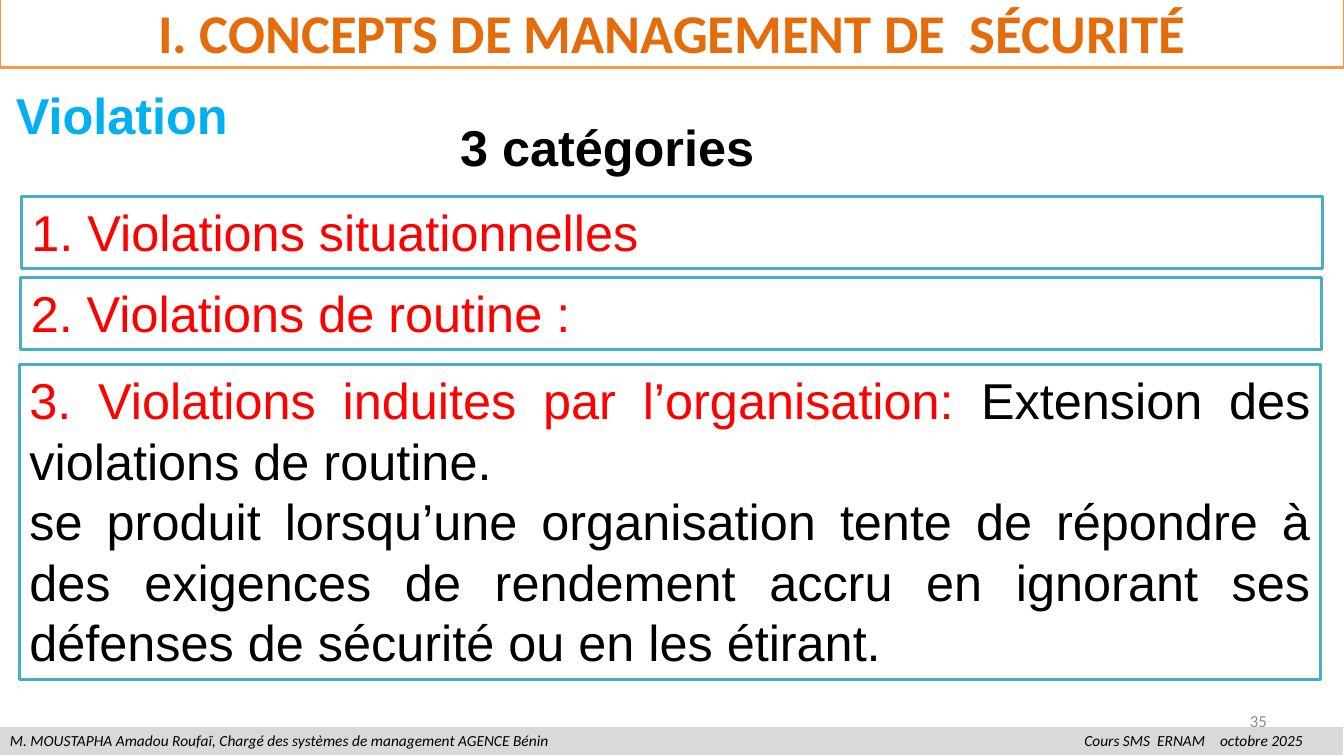
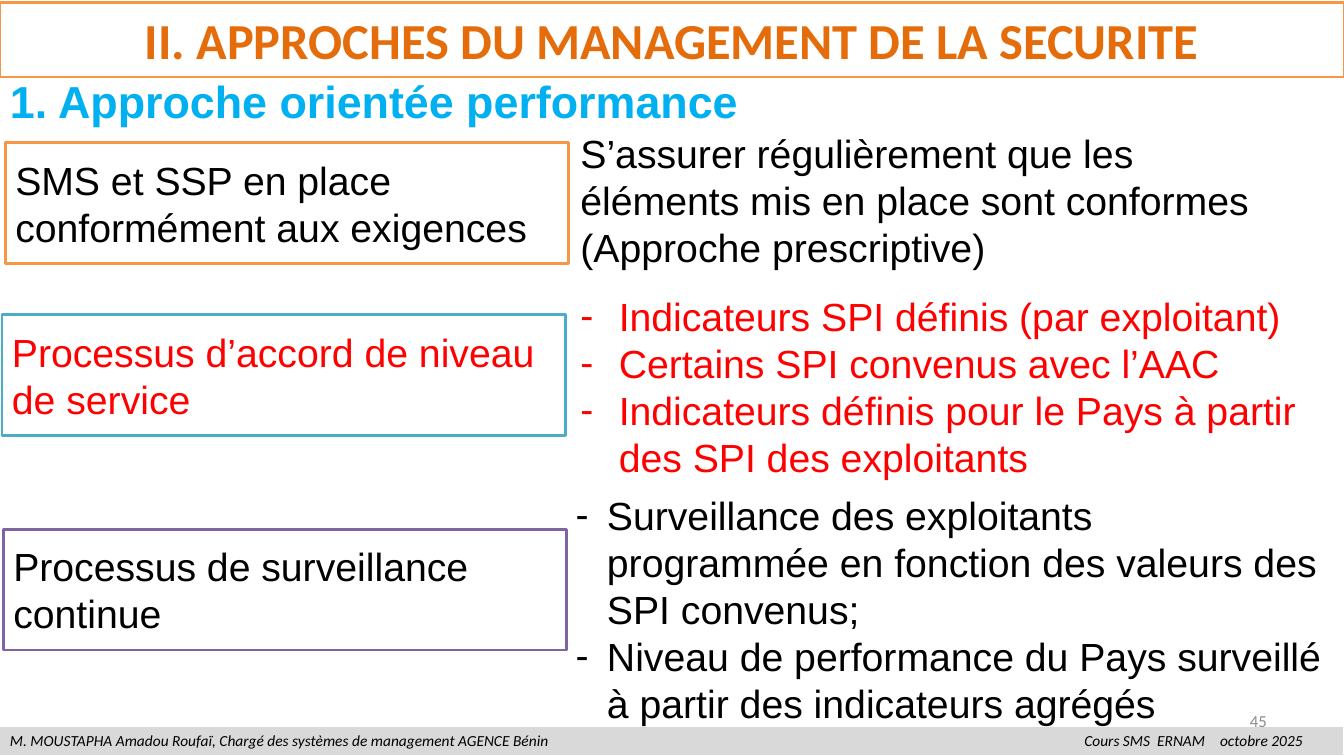
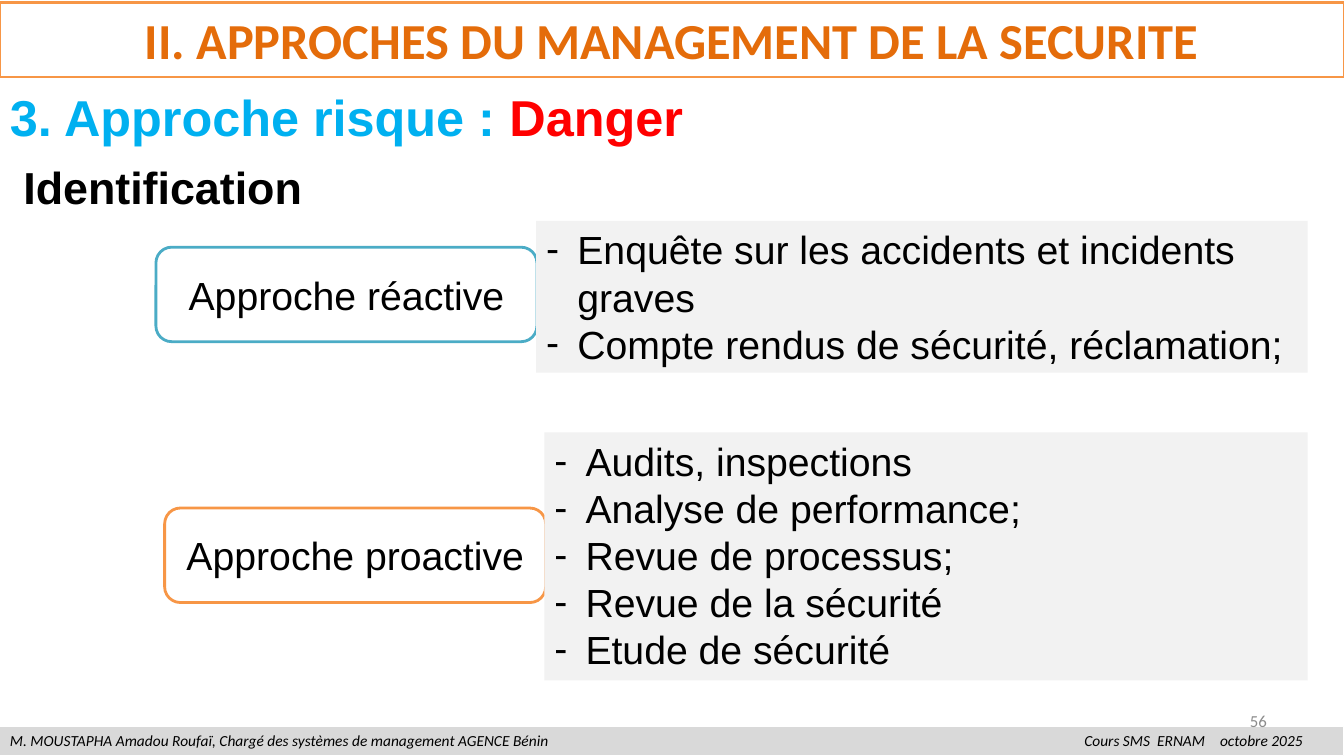
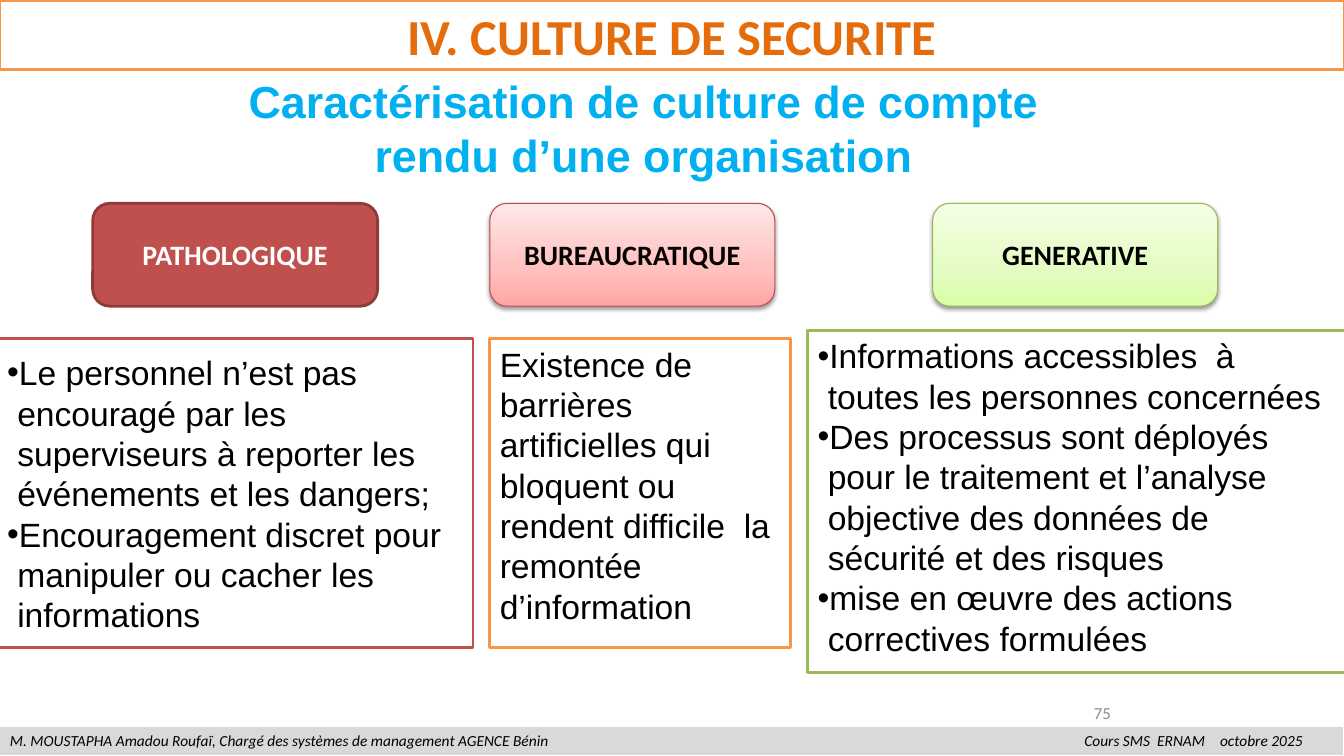
from dataclasses import dataclass, field
from typing import Any, Optional

from lxml import etree
from pptx import Presentation
from pptx import util as u
from pptx.dml.color import RGBColor
from pptx.enum import shapes, text
from pptx.oxml.ns import qn

WIDTH, HEIGHT = u.Inches(13.33), u.Inches(7.5)
TITLE_ONLY = 5

BLACK, WHITE, RED = "000000", "FFFFFF", "FF0000"
CYAN, TEAL, ORANGE, PURPLE = "00B0F0", "4BACC6", "F79646", "8064A2"
BRICK, OLIVE, TITLE_ORANGE = "C0504D", "9BBB59", "E46C0A"
BAND_GREY, PANEL_GREY, NUMBER_GREY = "D9D9D9", "F2F2F2", "8C8C8C"

RECT = shapes.MSO_SHAPE.RECTANGLE
ROUND = shapes.MSO_SHAPE.ROUNDED_RECTANGLE
PROCESS = shapes.MSO_SHAPE.FLOWCHART_PROCESS
LEFT, CENTER = text.PP_ALIGN.LEFT, text.PP_ALIGN.CENTER
RIGHT, JUSTIFY = text.PP_ALIGN.RIGHT, text.PP_ALIGN.JUSTIFY
TOP, MIDDLE = text.MSO_ANCHOR.TOP, text.MSO_ANCHOR.MIDDLE


@dataclass(frozen=True)
class Box:
    """A rectangle in percent of the slide's width and height."""
    x: float
    y: float
    w: float
    h: float

    def emu(self) -> tuple[int, int, int, int]:
        return (int(WIDTH * self.x / 100), int(HEIGHT * self.y / 100),
                int(WIDTH * self.w / 100), int(HEIGHT * self.h / 100))


@dataclass(frozen=True)
class Panel:
    """A block of text, in a preset shape or, with kind None, in a text box."""
    box: Box
    words: str
    kind: Optional[Any] = None
    fill: Optional[str] = WHITE
    line: Optional[str] = None
    line_width: float = 2
    gradient: tuple[tuple[int, str], ...] = ()
    shadow: bool = False
    style: dict[str, Any] = field(default_factory=dict)


@dataclass(frozen=True)
class Page:
    title: str
    title_box: Box
    number: int
    panels: list[Panel]
    title_size: float = 36
    number_box: Box = Box(71.7, 92.7, 23.3, 5.3)


def rgb(color: str) -> RGBColor:
    return RGBColor.from_string(color)


def set_bullet(p: Any, char: str, indent: float) -> None:
    pPr = p._p.get_or_add_pPr()
    pPr.set("marL", str(u.Inches(indent)))
    pPr.set("indent", str(-u.Inches(indent)))
    etree.SubElement(pPr, qn("a:buFont"), typeface="Arial")
    etree.SubElement(pPr, qn("a:buChar"), char=char)


def set_right_tabs(p: Any, *stops: float) -> None:
    tabs = etree.SubElement(p._p.get_or_add_pPr(), qn("a:tabLst"))
    for stop in stops:
        etree.SubElement(tabs, qn("a:tab"), pos=str(int(WIDTH * stop / 100)), algn="r")


def write(tf: Any, words: str, *, size: float = 28, font: str = "Arial",
          color: str = BLACK, bold: bool = False, italic: bool = False,
          align: Any = LEFT, anchor: Any = TOP, bullet: str = "",
          indent: float = 0.31, lead: str = "", lead_color: str = RED,
          tabs: tuple[float, ...] = ()) -> None:
    """Write one paragraph per line; text equal to lead opens in lead_color."""
    tf.word_wrap = True
    tf.auto_size = text.MSO_AUTO_SIZE.NONE
    tf.vertical_anchor = anchor
    for i, line in enumerate(words.split("\n")):
        p = tf.add_paragraph() if i else tf.paragraphs[0]
        p.alignment = align
        if bullet:
            set_bullet(p, bullet, indent)
        if tabs:
            set_right_tabs(p, *tabs)
        runs = [(line, color)]
        if lead and line.startswith(lead):
            runs = [(lead, lead_color), (line[len(lead):], color)]
        for part, part_color in runs:
            r = p.add_run()
            r.text = part
            r.font.size = u.Pt(size)
            r.font.name = font
            r.font.bold = bold
            r.font.italic = italic
            r.font.color.rgb = rgb(part_color)


def paint(sp: Any, fill: Optional[str], line: Optional[str], width: float = 2) -> None:
    sp.shadow.inherit = False
    if fill:
        sp.fill.solid()
        sp.fill.fore_color.rgb = rgb(fill)
    if line:
        sp.line.color.rgb = rgb(line)
        sp.line.width = u.Pt(width)
    else:
        sp.line.fill.background()


def paint_gradient(sp: Any, stops: tuple[tuple[int, str], ...]) -> None:
    """Fill from bottom to top with (percent, colour) stops."""
    sp.fill.gradient()
    sp.fill.gradient_angle = 90
    stop_list = sp._element.spPr.find(".//" + qn("a:gsLst"))
    for old in list(stop_list):
        stop_list.remove(old)
    for percent, color in stops:
        stop = etree.SubElement(stop_list, qn("a:gs"), pos=str(percent * 1000))
        etree.SubElement(stop, qn("a:srgbClr"), val=color)


def drop_shadow(sp: Any) -> None:
    effects = sp._element.spPr.find(qn("a:effectLst"))
    outer = etree.SubElement(effects, qn("a:outerShdw"), blurRad=str(u.Pt(3.1)),
                             dist=str(u.Pt(1.6)), dir="5400000", rotWithShape="0")
    color = etree.SubElement(outer, qn("a:srgbClr"), val=BLACK)
    etree.SubElement(color, qn("a:alpha"), val="38000")


def draw(slide: Any, panel: Panel) -> Any:
    if panel.kind is None:
        sp = slide.shapes.add_textbox(*panel.box.emu())
    else:
        sp = slide.shapes.add_shape(panel.kind, *panel.box.emu())
        paint(sp, panel.fill, panel.line, panel.line_width)
        if panel.gradient:
            paint_gradient(sp, panel.gradient)
        if panel.shadow:
            drop_shadow(sp)
    write(sp.text_frame, panel.words, **panel.style)
    return sp


def label(box: Box, words: str, **style: Any) -> Panel:
    return Panel(box, words, style=style)


def heading(box: Box, words: str, **style: Any) -> Panel:
    return label(box, words, **{"size": 36, "color": CYAN, "bold": True, **style})


def framed(box: Box, words: str, line: str, kind: Any = RECT, **style: Any) -> Panel:
    return Panel(box, words, kind, line=line, style=style)


def grey_list(box: Box, words: str) -> Panel:
    return Panel(box, words, RECT, PANEL_GREY, style={"bullet": "-"})


def culture_card(x: float, words: str, color: str = BLACK, **look: Any) -> Panel:
    style = dict(size=20, font="Calibri", bold=True, color=color,
                 align=CENTER, anchor=MIDDLE)
    return Panel(Box(x, 26.9, 21.2, 13.6), words, ROUND, style=style, **look)


def add_footer(slide: Any) -> None:
    """Draw the footer band and move it to the slide's layout."""
    band = Panel(
        Box(0, 96.1, 100, 3.9),
        "M. MOUSTAPHA Amadou Roufaï, Chargé des systèmes de management AGENCE Bénin"
        "\tCours SMS  ERNAM\toctobre 2025",
        RECT, BAND_GREY, WHITE, 0.75,
        style=dict(size=11, font="Calibri", italic=True, tabs=(88.95, 96.2)))
    sp = draw(slide, band)
    slide.slide_layout.shapes._spTree.append(sp._element)


def add_page(prs: Any, page: Page) -> Any:
    slide = prs.slides.add_slide(prs.slide_layouts[TITLE_ONLY])
    title = slide.shapes.title
    title.left, title.top, title.width, title.height = page.title_box.emu()
    paint(title, WHITE, ORANGE)
    write(title.text_frame, page.title, size=page.title_size, font="Calibri",
          color=TITLE_ORANGE, bold=True, align=CENTER, anchor=MIDDLE)
    draw(slide, label(page.number_box, str(page.number), size=12, font="Calibri",
                      color=NUMBER_GREY, align=RIGHT, anchor=MIDDLE))
    for panel in page.panels:
        draw(slide, panel)
    return slide


APPROACHES = "II. APPROCHES DU MANAGEMENT DE LA SECURITE"
APPROACHES_BOX = Box(0, 0.3, 100, 9.9)

VIOLATIONS = Page(
    "I. CONCEPTS DE MANAGEMENT DE  SÉCURITÉ", Box(0, -0.4, 100, 9.3), 35, [
        heading(Box(0.45, 10.5, 21.2, 9.5), "Violation"),
        heading(Box(33.5, 14.7, 35.4, 9.5), "3 catégories", color=BLACK),
        framed(Box(1.6, 26, 96.8, 9.5), "1. Violations situationnelles", TEAL,
               size=36, color=RED),
        framed(Box(1.55, 36.7, 96.8, 9.5), "2. Violations de routine :", TEAL,
               size=36, color=RED, align=JUSTIFY),
        framed(Box(1.45, 48.2, 96.8, 41.7),
               "3. Violations induites par l’organisation: "
               "Extension des violations de routine.\n"
               "se produit lorsqu’une organisation tente de répondre à des exigences "
               "de rendement accru en ignorant ses défenses de sécurité ou en les "
               "étirant.", TEAL, size=36, align=JUSTIFY,
               lead="3. Violations induites par l’organisation: "),
    ], title_size=39)

PERFORMANCE = Page(APPROACHES, APPROACHES_BOX, 45, [
    heading(Box(0, 9.1, 69.1, 8.5), "1. Approche orientée performance", size=32),
    framed(Box(0.4, 18.9, 41.9, 16), "SMS et SSP en place conformément aux exigences",
           ORANGE, anchor=MIDDLE),
    label(Box(42.45, 16.4, 54.3, 20.1),
          "S’assurer régulièrement que les éléments mis en place sont conformes "
          "(Approche prescriptive)"),
    framed(Box(0.15, 41.6, 41.9, 16), "Processus d’accord de niveau de service",
           TEAL, color=RED, anchor=MIDDLE),
    label(Box(42.45, 38, 57.2, 26.5),
          "Indicateurs SPI définis (par exploitant)\n"
          "Certains SPI convenus avec l’AAC\n"
          "Indicateurs définis pour le Pays à partir des SPI des exploitants",
          color=RED, bullet="-", indent=0.38),
    framed(Box(0.25, 70, 41.9, 16), "Processus de surveillance continue",
           PURPLE, anchor=MIDDLE),
    label(Box(42.1, 64.3, 57.2, 32.8),
          "Surveillance des exploitants programmée en fonction des valeurs des SPI "
          "convenus;\n"
          "Niveau de performance du Pays surveillé à partir des indicateurs agrégés",
          bullet="-"),
])

RISK = Page(APPROACHES, APPROACHES_BOX, 56, [
    heading(Box(0, 10.7, 54.2, 9.5), "3. Approche risque : Danger", color=RED,
            lead="3. Approche risque : ", lead_color=CYAN),
    heading(Box(1, 20.5, 46.7, 8.5), "Identification", size=32, color=BLACK),
    framed(Box(11.6, 32.7, 28.35, 12.5), "Approche réactive", TEAL, ROUND,
           align=CENTER, anchor=MIDDLE),
    grey_list(Box(39.9, 29.2, 57.4, 20.1),
              "Enquête sur les accidents et incidents graves\n"
              "Compte rendus de sécurité, réclamation;"),
    framed(Box(12.25, 67.2, 28.35, 12.5), "Approche proactive", ORANGE, ROUND,
           align=CENTER, anchor=MIDDLE),
    grey_list(Box(40.5, 57.2, 56.8, 32.8),
              "Audits, inspections\nAnalyse de performance;\nRevue de processus;\n"
              "Revue de la sécurité\nEtude de sécurité"),
])

CULTURE = Page("IV. CULTURE DE SECURITE", Box(0, 0.1, 100, 9.1), 75, [
    heading(Box(13.35, 9.1, 69.1, 15.7),
            "Caractérisation de culture de compte rendu d’une organisation",
            size=32, align=CENTER),
    culture_card(6.9, "PATHOLOGIQUE", WHITE, fill=BRICK, line="8E3B39"),
    culture_card(36.45, "BUREAUCRATIQUE", line="BF4C48", line_width=0.75, shadow=True,
                 gradient=((0, "FFA6A5"), (35, "FFC0BF"), (100, "FFE7E7"))),
    culture_card(69.4, "GENERATIVE", line="98B955", line_width=0.75, shadow=True,
                 gradient=((0, "DAFDA7"), (35, "E4FCC2"), (100, "F5FFE7"))),
    framed(Box(-0.2, 44.8, 35.4, 40.9),
           "Le personnel n’est pas encouragé par les superviseurs à reporter les "
           "événements et les dangers;\n"
           "Encouragement discret pour manipuler ou cacher les informations",
           BRICK, PROCESS, size=24, bullet="•", indent=0.1, anchor=MIDDLE),
    framed(Box(36.45, 44.8, 22.4, 40.9),
           "Existence de barrières artificielles qui bloquent ou rendent difficile  "
           "la remontée d’information", ORANGE, PROCESS, size=24),
    framed(Box(60.1, 43.7, 40, 45.2),
           "Informations accessibles  à toutes les personnes concernées\n"
           "Des processus sont déployés pour le traitement et l’analyse objective "
           "des données de sécurité et des risques\n"
           "mise en œuvre des actions correctives formulées",
           OLIVE, PROCESS, size=24, bullet="•", indent=0.1),
], number_box=Box(65.9, 91.7, 17.5, 5.3))


def main() -> None:
    prs = Presentation()
    prs.slide_width, prs.slide_height = WIDTH, HEIGHT
    slides = [add_page(prs, page) for page in (VIOLATIONS, PERFORMANCE, RISK, CULTURE)]
    add_footer(slides[0])
    prs.save("out.pptx")


if __name__ == "__main__":
    main()
